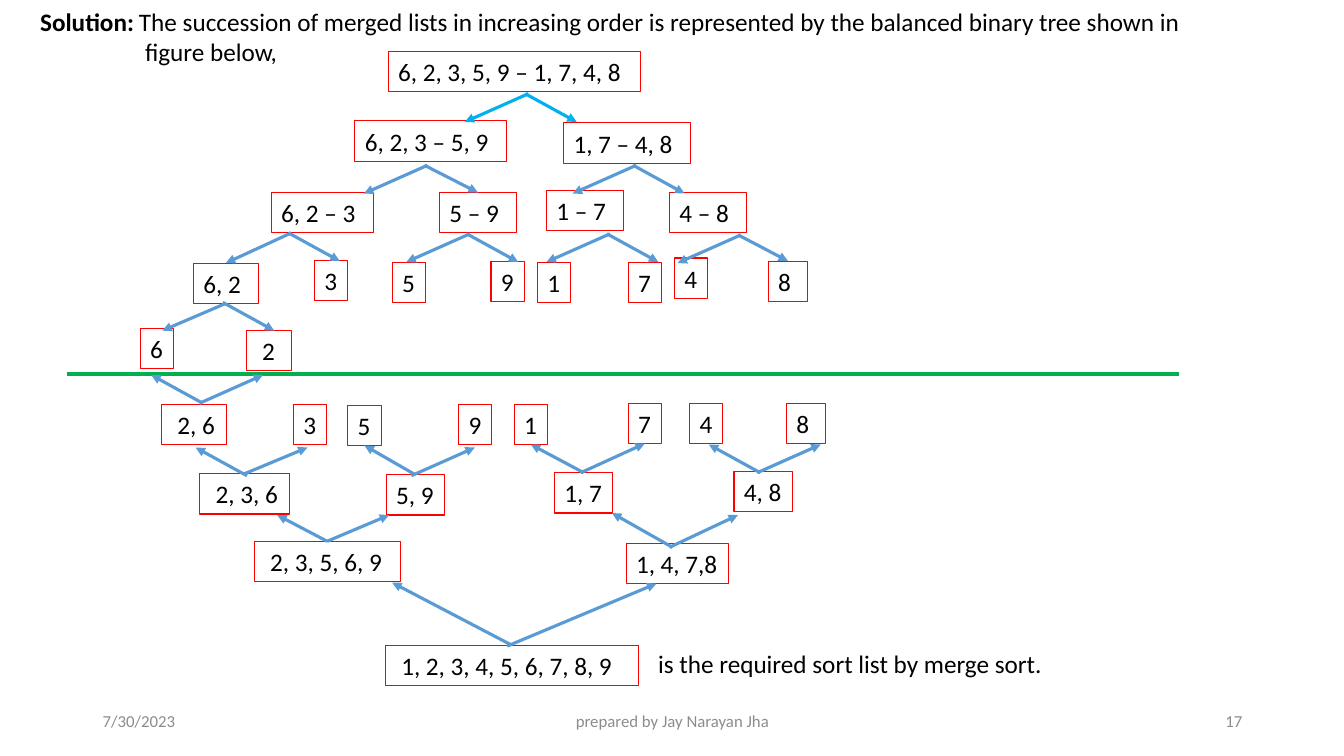
from lxml import etree
from pptx import Presentation
from pptx.dml.color import RGBColor
from pptx.enum.shapes import MSO_CONNECTOR, MSO_SHAPE
from pptx.enum.text import MSO_ANCHOR, PP_ALIGN
from pptx.oxml.ns import qn
from pptx.util import Inches, Pt

LEFT, CENTER, RIGHT = PP_ALIGN.LEFT, PP_ALIGN.CENTER, PP_ALIGN.RIGHT
TOP, MIDDLE = MSO_ANCHOR.TOP, MSO_ANCHOR.MIDDLE
RECT, STRAIGHT = MSO_SHAPE.RECTANGLE, MSO_CONNECTOR.STRAIGHT

FONT = "Calibri"
BLACK, GREY, RED = "000000", "8C8C8C", "FF0000"
CYAN, BLUE, GREEN = "00B0F0", "5B9BD5", "00B050"
BOX_H = 0.4
SPACE = 0.06      # extra left inset of the merged lists
SNAP = 0.02       # an arrow this close to a side's middle is joined to it

SOLUTION = [
    "The succession of merged lists in increasing order is represented by "
    "the balanced binary tree shown in",
    "figure below,",
]
RESULT = "is the required sort list by merge sort."
FOOTER = [  # text, left, width, alignment
    ("7/30/2023", 0.92, 3, LEFT),
    ("prepared by Jay Narayan Jha", 4.42, 4.5, CENTER),
    ("17", 9.42, 3, RIGHT),
]

# Lists in the tree: text, left, top, width
LISTS = [
    ("6, 2, 3, 5, 9 – 1, 7, 4, 8", 3.85, 0.51, 2.5),
    ("6, 2, 3 – 5, 9", 3.52, 1.2, 1.5),
    ("1, 7 – 4, 8", 5.59, 1.22, 1.26),
    ("6, 2 – 3", 2.69, 1.91, 1.01),
    ("5 – 9", 4.36, 1.91, 0.76),
    ("1 – 7", 5.42, 1.89, 0.76),
    ("4 – 8", 6.64, 1.91, 0.76),
    ("6, 2", 1.92, 2.61, 0.64),
    ("3", 3.12, 2.58, 0.33),
    ("5", 3.89, 2.6, 0.33),
    ("9", 4.87, 2.59, 0.33),
    ("1", 5.33, 2.6, 0.33),
    ("7", 6.23, 2.6, 0.33),
    ("4", 6.69, 2.56, 0.33),
    ("8", 7.62, 2.59, 0.39),
    ("6", 1.39, 3.26, 0.33),
    ("3", 2.91, 4.01, 0.33),
    ("5", 3.45, 4.02, 0.33),
    ("9", 4.55, 4.01, 0.33),
    ("1", 5.1, 4.01, 0.33),
    ("7", 6.23, 4, 0.33),
    ("4", 6.84, 4, 0.33),
    ("8", 7.8, 4, 0.39),
    ("5, 9", 3.83, 4.71, 0.58),
    ("1, 7", 5.5, 4.69, 0.58),
    ("4, 8", 7.28, 4.68, 0.58),
    ("1, 4, 7,8", 6.21, 5.39, 1.02),
]
INDENTED_LISTS = [
    ("2", 2.44, 3.28, 0.45),
    ("2, 6", 1.6, 4.01, 0.65),
    ("2, 3, 6", 1.98, 4.7, 0.89),
    ("2, 3, 5, 6, 9", 2.52, 5.37, 1.45),
    ("1, 2, 3, 4, 5, 6, 7, 8, 9", 3.82, 6.4, 2.51),
]

# Forks of two arrows: x and y where the long arm starts
SPLITS = [(5.24, 0.93), (4.24, 1.64), (6.31, 1.64), (2.89, 2.31),
          (4.66, 2.32), (6.05, 2.32), (7.35, 2.33), (2.24, 3)]
MERGES = [(1.98, 4), (2.42, 4.72), (4.08, 4.72), (5.76, 4.69),
          (7.51, 4.69), (3.23, 5.39)]
LONG_ARM, SHORT_ARM, ARM_H, ARM_GAP = 0.63, 0.48, 0.28, 0.03
WIDE_ARMS = [  # from x, from y, to x, to y
    (6.64, 5.43, 7.32, 5.11), (6.67, 5.43, 6.07, 5.09),
    (5.03, 6.41, 6.51, 5.79), (5.06, 6.41, 3.89, 5.78),
]
DIVIDER = (0.66, 3.71, 11.69, 3.71)


def rgb(color):
    return RGBColor.from_string(color)


def write(sp, lines, size=18, color=BLACK, bold=False, align=LEFT, anchor=TOP):
    tf = sp.text_frame
    tf.word_wrap = True
    tf.vertical_anchor = anchor
    tf.text = "\n".join(lines)
    for p in tf.paragraphs:
        p.alignment = align
        for r in p.runs:
            r.font.name, r.font.size, r.font.bold = FONT, Pt(size), bold
            r.font.color.rgb = rgb(color)
    return tf


def add_text(slide, lines, x, y, w, h, **style):
    return write(slide.shapes.add_textbox(*map(Inches, (x, y, w, h))), lines, **style)


def add_list(slide, text, x, y, w, indent=0):
    sp = slide.shapes.add_shape(RECT, *map(Inches, (x, y, w, BOX_H)))
    sp.shadow.inherit = False
    sp.fill.background()
    sp.line.color.rgb = rgb(RED)
    sp.line.width = Pt(0.75)
    tf = write(sp, [text])
    tf.margin_left, tf.margin_right = Inches(0.1 + indent), 0
    return sp


def side_at(boxes, x, y):
    """Return the box and site whose top or bottom middle lies at a point."""
    for sp in boxes:
        middle = sp.left + sp.width // 2
        for site, edge in ((0, sp.top), (2, sp.top + sp.height)):
            if max(abs(middle - Inches(x)), abs(edge - Inches(y))) <= Inches(SNAP):
                return sp, site
    return None


def add_line(slide, points, color):
    line = slide.shapes.add_connector(STRAIGHT, *map(Inches, points))
    line.line.color.rgb = rgb(color)
    line.line.width = Pt(2.25)
    etree.SubElement(line._element.spPr, qn("a:effectLst"))
    return line


def add_arrow(slide, boxes, points, color):
    line = add_line(slide, points, color)
    etree.SubElement(line.line._get_or_add_ln(), qn("a:tailEnd"), type="triangle")
    for connect, point in ((line.begin_connect, points[:2]), (line.end_connect, points[2:])):
        joint = side_at(boxes, *point)
        if joint:
            connect(*joint)


def fork_arms(x, y, way):
    """Return the long and short arm; way is 1 downwards, -1 upwards."""
    tip = y + way * ARM_H
    return [(x, y, x - way * LONG_ARM, tip),
            (x - way * ARM_GAP, y, x + way * SHORT_ARM, tip)]


def main():
    prs = Presentation()
    prs.slide_width, prs.slide_height = Inches(13.33), Inches(7.5)
    slide = prs.slides.add_slide(prs.slide_layouts[6])

    for text, x, w, align in FOOTER:
        add_text(slide, [text], x, 6.95, w, 0.4, size=12, color=GREY,
                 align=align, anchor=MIDDLE)
    add_text(slide, ["Solution:"], 0.3, 0.01, 1.2, 0.4, bold=True)
    tf = add_text(slide, SOLUTION, 1.28, 0.01, 10.65, 0.71)
    tf.margin_right = 0
    tf.paragraphs[1]._p.get_or_add_pPr().set("marL", str(Inches(SPACE)))

    boxes = [add_list(slide, *item) for item in LISTS]
    boxes += [add_list(slide, *item, indent=SPACE) for item in INDENTED_LISTS]
    add_line(slide, DIVIDER, GREEN)

    for i, (x, y) in enumerate(SPLITS):
        for arm in fork_arms(x, y, 1):
            add_arrow(slide, boxes, arm, BLUE if i else CYAN)
    merge_arms = [arm for x, y in MERGES for arm in fork_arms(x, y, -1)]
    for arm in merge_arms + WIDE_ARMS:
        add_arrow(slide, boxes, arm, BLUE)

    add_text(slide, [RESULT], 6.43, 6.38, 4.06, 0.4)
    prs.save("out.pptx")


if __name__ == "__main__":
    main()
